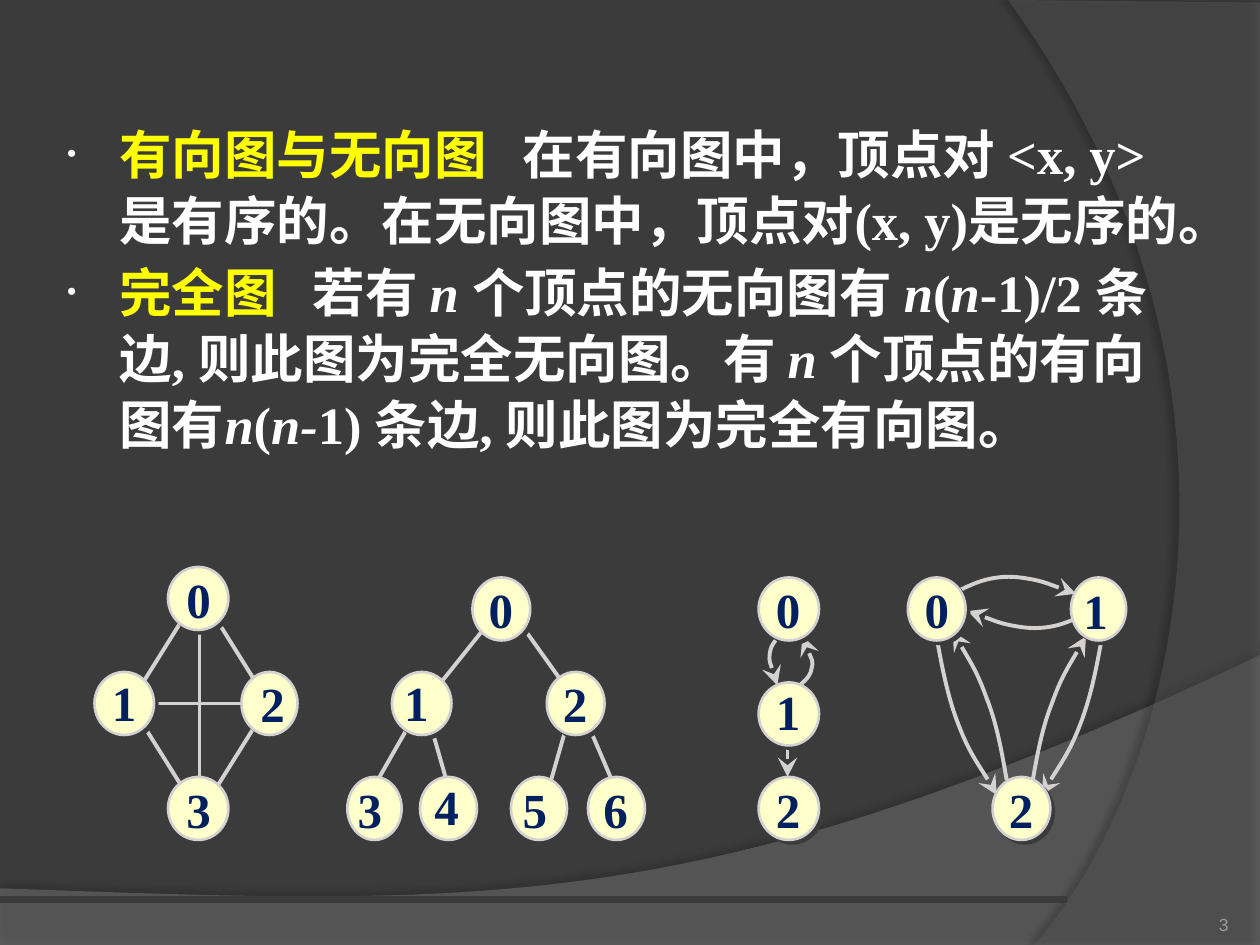
from dataclasses import dataclass

from lxml import etree
from pptx import Presentation
from pptx.dml.color import RGBColor
from pptx.enum.shapes import MSO_CONNECTOR, MSO_SHAPE
from pptx.enum.text import MSO_ANCHOR, MSO_AUTO_SIZE, PP_ALIGN
from pptx.oxml.ns import qn
from pptx.util import Pt

STRAIGHT = MSO_CONNECTOR.STRAIGHT
OVAL = MSO_SHAPE.OVAL
BOTTOM = MSO_ANCHOR.BOTTOM
GROW = MSO_AUTO_SIZE.SHAPE_TO_FIT_TEXT
RIGHT = PP_ALIGN.RIGHT


@dataclass(frozen=True)
class Theme:
    ground: str = "3B3B3B"
    wave: str = "7F7F7F"
    arc: str = "5E5E5E"
    term: str = "FFFF00"
    body: str = "FFFFFF"
    node: str = "FFFFCC"
    edge: str = "D4D2D0"
    label: str = "002060"
    muted: str = "9D9B9A"
    serif: str = "Times New Roman"
    sans: str = "Arial"
    body_size: float = 30
    label_size: float = 28
    number_size: float = 10


THEME = Theme()
NODE_HEIGHT = 36
LABEL_WIDTH, LABEL_HEIGHT = 28.8, 41


def rgb(color):
    return RGBColor.from_string(color)


def add_xml(parent, tag, **attributes):
    return etree.SubElement(parent, qn(tag), {key: str(value) for key, value in attributes.items()})


def add_span(para, text, font, size, color, bold=False, italic=False):
    span = para.add_run()
    span.text = text
    formats = {"name": font, "size": Pt(size), "bold": bold, "italic": italic}
    for name, value in formats.items():
        setattr(span.font, name, value)
    span.font.color.rgb = rgb(color)


def add_text_box(page, left, top, width, height, **formats):
    frame = page.shapes.add_textbox(Pt(left), Pt(top), Pt(width), Pt(height)).text_frame
    for name, value in formats.items():
        setattr(frame, name, value)
    return frame


def add_shadow(shape, color, alpha, blur, distance, angle):
    shape.shadow.inherit = False
    effects = shape._element.spPr.find(qn("a:effectLst"))
    shadow = add_xml(effects, "a:outerShdw", blurRad=Pt(blur), dist=Pt(distance),
                     dir=angle * 60000, algn="ctr", rotWithShape=0)
    add_xml(add_xml(shadow, "a:srgbClr", val=color), "a:alpha", val=alpha * 1000)


def style_line(shape, color, width, arrow=False):
    shape.line.color.rgb = rgb(color)
    shape.line.width = Pt(width)
    if arrow:
        add_xml(shape.line._get_or_add_ln(), "a:tailEnd", type="stealth", w="lg", len="lg")


def add_line(page, x1, y1, x2, y2, color, width, arrow=False):
    line = page.shapes.add_connector(STRAIGHT, Pt(x1), Pt(y1), Pt(x2), Pt(y2))
    style_line(line, color, width, arrow)
    add_xml(line._element.spPr, "a:effectLst")


def add_outline(page, start, segments, left=0, top=0, close=False):
    """A segment is a list of one point for a line, or three for a cubic curve."""
    ends = [(Pt(left + x), Pt(top + y)) for x, y in [start] + [part[-1] for part in segments]]
    builder = page.shapes.build_freeform(*ends[0], scale=1.0)
    builder.add_line_segments(ends[1:], close=close)
    shape = builder.convert_to_shape()
    shape.shadow.inherit = False
    for step, part in zip(list(shape._element.iter(qn("a:lnTo"))), segments):
        if len(part) == 3:
            curve = etree.Element(qn("a:cubicBezTo"))
            for x, y in part:
                add_xml(curve, "a:pt", x=Pt(left + x) - shape.left, y=Pt(top + y) - shape.top)
            step.getparent().replace(step, curve)
    return shape


def add_backdrop(page, width, height):
    page.background.fill.solid()
    page.background.fill.fore_color.rgb = rgb(THEME.ground)
    wave = [[(0, height)], [(width, height)], [(width, 374.4)],
            [(402.5, 524.9), (281.5, 517.7), (0, 507.6)]]
    arc = [[(width, height)], [(591, height)],
           [(673.2, 445.7), (733, 216), (576, 0)], [(width, 1.5)]]
    for start, segments, color, alpha, shadow in (
        ((0, 507.6), wave, THEME.wave, 45, (35, 4, 3.5, 270)),
        ((width, 1.5), arc, THEME.arc, 40, (45, 4, 4, 180)),
    ):
        shape = add_outline(page, start, segments, close=True)
        shape.fill.solid()
        shape.fill.fore_color.rgb = rgb(color)
        fill = shape._element.spPr.find(qn("a:solidFill"))
        add_xml(fill[0], "a:alpha", val=alpha * 1000)
        shape.line.fill.background()
        add_shadow(shape, "000000", *shadow)
    add_line(page, 0, 514, 610, 514, THEME.ground, 4.5)


def add_definitions(page, left, top, width, height, definitions):
    """Each definition is a term and pieces of text, where every second piece is italic."""
    frame = add_text_box(page, left, top, width, height, word_wrap=True)
    for index, (term, pieces) in enumerate(definitions):
        para = frame.add_paragraph() if index else frame.paragraphs[0]
        para.line_spacing = 1.05
        para.space_before = Pt(3)
        props = para._p.get_or_add_pPr()
        props.set("marL", str(Pt(33)))
        props.set("indent", str(Pt(-30)))
        add_xml(add_xml(props, "a:buClr"), "a:srgbClr", val=THEME.body)
        add_xml(props, "a:buSzPct", val=50000)
        add_xml(props, "a:buFont", typeface=THEME.sans)
        add_xml(props, "a:buChar", char="•")
        add_span(para, term, THEME.serif, THEME.body_size, THEME.term, bold=True)
        for place, piece in enumerate(pieces):
            add_span(para, piece, THEME.serif, THEME.body_size, THEME.body,
                     bold=True, italic=place % 2 == 1)


def add_graph(page, left, top, nodes, edges=(), arrows=(), curves=()):
    """Nodes are (label, x, y, width, label x, label y); edges and arrows are (x1, y1, x2, y2)."""
    for start, *controls in curves:
        segments = [controls[first:first + 3] for first in range(0, len(controls), 3)]
        shape = add_outline(page, start, segments, left, top)
        shape.fill.background()
        style_line(shape, THEME.edge, 2.25, arrow=True)
    for group, pointed in ((edges, False), (arrows, True)):
        for x1, y1, x2, y2 in group:
            add_line(page, left + x1, top + y1, left + x2, top + y2, THEME.edge, 2.25, pointed)
    for label, x, y, width, label_x, label_y in nodes:
        node = page.shapes.add_shape(OVAL, Pt(left + x), Pt(top + y), Pt(width), Pt(NODE_HEIGHT))
        node.fill.solid()
        node.fill.fore_color.rgb = rgb(THEME.node)
        style_line(node, THEME.edge, 1.5)
        add_shadow(node, THEME.ground, 100, 0, 2.8, 45)
        frame = add_text_box(page, left + label_x, top + label_y, LABEL_WIDTH, LABEL_HEIGHT,
                             word_wrap=False, auto_size=GROW)
        add_span(frame.paragraphs[0], label, THEME.serif, THEME.label_size, THEME.label, bold=True)


def add_digraph(page, left, top):
    """Three nodes, each pair joined by two opposite arcs."""
    back = [(105, 19.2), (97.8, 22.8), (90.6, 26.4), (83.4, 27.8), (76.2, 29.3),
            (69.7, 29.3), (61.8, 27.8), (53.2, 26.4), (38.8, 20.6), (34.5, 19.2)]
    down = [(110.8, 36.5), (107.9, 53), (104.3, 70.3), (98.5, 84.7),
            (92.8, 99.8), (80.5, 117.1), (76.9, 124.3)]
    up = [(71.2, 118.6), (74.1, 102), (76.9, 86.2), (82.7, 71.8),
          (87.7, 57.4), (98.5, 40), (102.1, 33.6)]
    forth = [(130.8 - x, 28.5 - y) for x, y in back]
    mirrored_down = [(128 - x, y) for x, y in down]
    mirrored_up = [(128 - x, y - 2.9) for x, y in up]
    nodes = [("0", 0.3, 0, 33, 2.8, -2.4), ("1", 93.5, 0, 31.5, 93.5, -1.7),
             ("2", 48.7, 114, 33, 51, 112.1)]
    add_graph(page, left, top, nodes,
              curves=[back, forth, down, up, mirrored_down, mirrored_up])


def add_page_number(page, left, top, width, height, number):
    frame = add_text_box(page, left, top, width, height, word_wrap=True, vertical_anchor=BOTTOM,
                         margin_left=0, margin_top=0, margin_right=0, margin_bottom=0)
    para = frame.paragraphs[0]
    para.alignment = RIGHT
    add_span(para, number, THEME.sans, THEME.number_size, THEME.muted)


def main():
    deck = Presentation()
    deck.slide_width, deck.slide_height = Pt(720), Pt(540)
    page = deck.slides.add_slide(deck.slide_layouts[6])
    add_backdrop(page, 720, 540)
    add_definitions(page, 28.2, 64.6, 663, 276.5, [
        ("有向图与无向图   ",
         ["在有向图中，顶点对 <x, y> 是有序的。在无向图中，顶点对(x, y)是无序的。"]),
        ("完全图   ",
         ["若有 ", "n ", "个顶点的无向图有 ", "n", "(", "n", "-1)/2 条边, 则此图为完全无向图。有 ",
          "n ", "个顶点的有向图有", "n", "(", "n-", "1) 条边, 则此图为完全有向图。"]),
    ])
    add_graph(page, 54, 324,
              [("1", 0, 60, 34, 2.9, 56.9), ("2", 84, 60, 32, 87.8, 57.6),
               ("0", 42, 0, 34.5, 45.4, -2.2), ("3", 42, 120, 34.5, 45.4, 118.1)],
              edges=[(24, 84, 54, 132), (66, 24, 96, 72), (96, 84, 66, 132),
                     (54, 24, 24, 72), (30, 78, 96, 78), (60, 30, 60, 138)])
    add_graph(page, 198, 330,
              [("3", 0.5, 114, 31, -0.7, 112.1), ("4", 42, 114, 32.5, 43.2, 109.9),
               ("5", 94, 114, 32, 93.6, 112.1), ("6", 138, 114, 32.5, 139.7, 112.1),
               ("1", 26, 54, 34, 25.9, 50.9), ("2", 114.5, 54, 33, 116.6, 51.6),
               ("0", 72, 0, 33, 74.2, -2.4)],
              edges=[(102, 30, 132, 72), (126, 84, 114, 126), (138, 84, 156, 126),
                     (78, 30, 54, 60), (48, 84, 60, 126), (36, 84, 12, 126)])
    add_graph(page, 433.5, 330,
              [("0", 0, 0, 34.5, 2.8, -2.4), ("1", 0, 60, 34.5, 2.8, 55.9),
               ("2", 0, 114, 34.5, 2.8, 112.1)],
              arrows=[(16.5, 96, 16.5, 114)],
              curves=[[(15, 31), (10.8, 34.3), (7.1, 37.9), (6.4, 43),
                       (5.7, 48.7), (10, 58.8), (10.7, 61.7)],
                      [(19.4, 64.6), (24.4, 61), (29.5, 57.4), (30.2, 52.3),
                       (31.6, 47.3), (25.9, 36.5), (25.1, 33.6)]])
    add_digraph(page, 518.5, 330)
    add_page_number(page, 642, 505.5, 60, 29, "3")
    deck.save("out.pptx")


if __name__ == "__main__":
    main()
